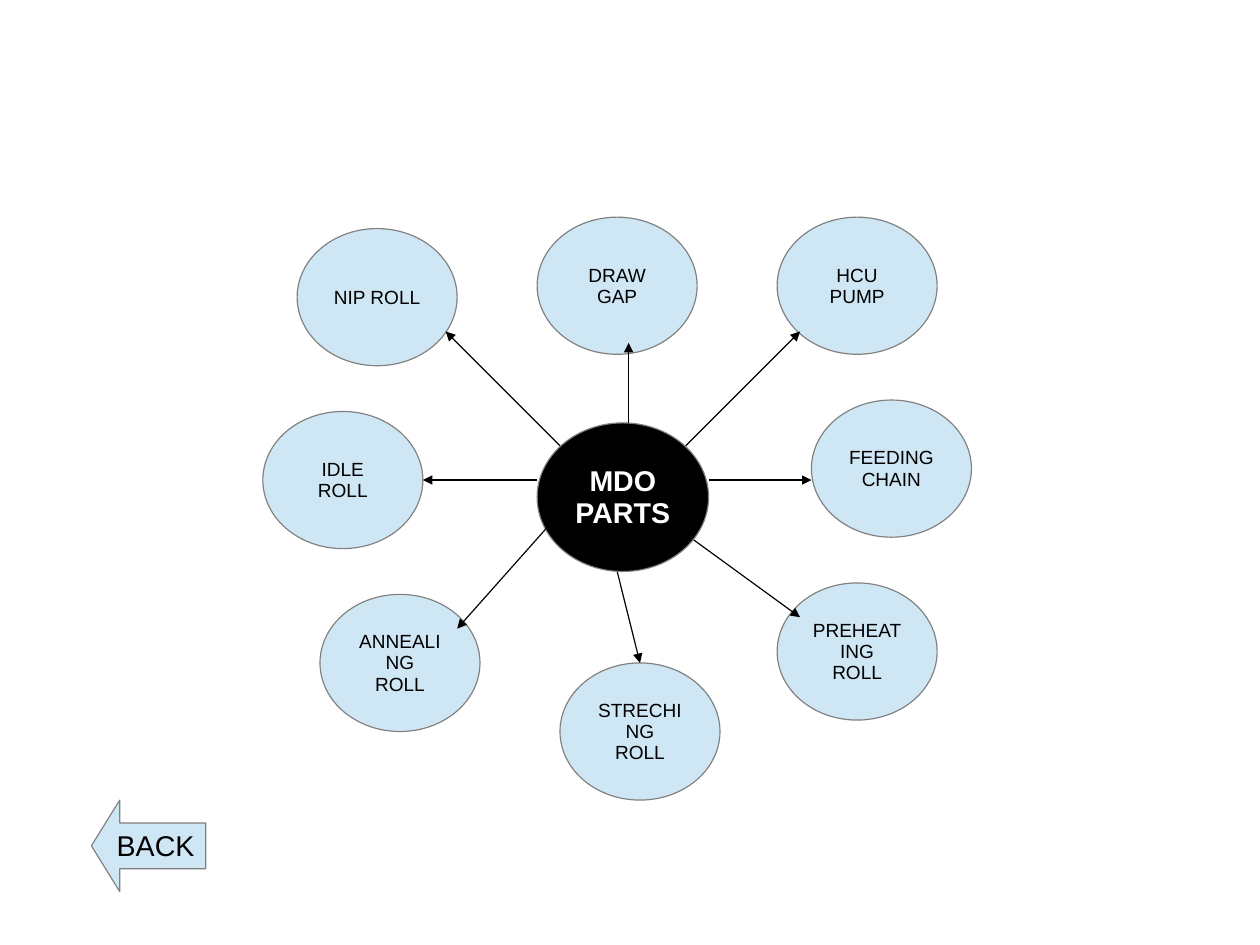
from dataclasses import dataclass

from lxml.etree import SubElement
from pptx import Presentation
from pptx.dml.color import RGBColor
from pptx.enum.shapes import MSO_CONNECTOR as Connector
from pptx.enum.shapes import MSO_SHAPE as Preset
from pptx.enum.text import MSO_ANCHOR as Anchor
from pptx.enum.text import PP_ALIGN as Align
from pptx.oxml.ns import qn
from pptx.slide import Slide
from pptx.util import Pt

COLORS = {"pale": "CFE7F5", "border": "808080", "black": "000000", "white": "FFFFFF"}
LINE_WIDTH = Pt(0.75)
PART_SIZE = (100.8, 86.4)


@dataclass(frozen=True)
class Node:
    lines: tuple[str, ...]
    left: float
    top: float
    width: float = PART_SIZE[0]
    height: float = PART_SIZE[1]
    preset: Preset = Preset.OVAL
    fill: str = "pale"
    ink: str = "black"
    size: float = 12
    bold: bool = False
    inset_top: float = 4.32
    wrap: bool = True


@dataclass(frozen=True)
class Arrow:
    start: tuple[float, float]
    end: tuple[float, float]


PARTS = (
    Node(("PREHEATING", "ROLL"), 489.6, 367.2),
    Node(("STRECHING", "ROLL"), 352.8, 417.6),
    Node(("ANNEALING", "ROLL"), 201.6, 374.4),
    Node(("IDLE ROLL",), 165.6, 259.2),
    Node(("NIP ROLL",), 187.2, 144),
    Node(("DRAW GAP",), 338.4, 136.8),
    Node(("HCU PUMP",), 489.6, 136.8),
    Node(("FEEDING CHAIN",), 511.2, 252),
)
HUB = Node(("MDO", "PARTS"), 338.4, 266.4, 108, 93.6, fill="black", ink="white",
           size=18, bold=True, inset_top=5.04)
BACK = Node(("BACK",), 57.6, 504, 72, 57.6, Preset.LEFT_ARROW,
            size=18, inset_top=5.04, wrap=False)
ARROWS_UNDER_HUB = (
    Arrow((388.8, 360), (403.2, 417.6)),
    Arrow((424.8, 331.2), (504, 388.8)),
)
ARROWS_OVER_HUB = (
    Arrow((345.6, 331.2), (288, 396)),
    Arrow((338.4, 302.4), (266.4, 302.4)),
    Arrow((352.8, 280.8), (280.8, 208.8)),
    Arrow((396, 266.4), (396, 216)),
    Arrow((432, 280.8), (504, 208.8)),
    Arrow((446.4, 302.4), (511.2, 302.4)),
)


def color(name: str) -> RGBColor:
    return RGBColor.from_string(COLORS[name])


def apply_format(target: object, values: dict[str, object]) -> None:
    for name, value in values.items():
        setattr(target, name, value)


def draw_node(page: Slide, node: Node) -> None:
    shape = page.shapes.add_shape(node.preset, Pt(node.left), Pt(node.top),
                                  Pt(node.width), Pt(node.height))
    if node.preset == Preset.LEFT_ARROW:
        shape.adjustments[1] = 0.31
    shape.shadow.inherit = False
    shape.fill.solid()
    shape.fill.fore_color.rgb = color(node.fill)
    shape.line.color.rgb = color("border")
    shape.line.width = LINE_WIDTH

    frame = shape.text_frame
    apply_format(frame, {
        "word_wrap": node.wrap, "vertical_anchor": Anchor.MIDDLE,
        "margin_left": Pt(7.2), "margin_right": Pt(7.2),
        "margin_top": Pt(node.inset_top), "margin_bottom": Pt(3.6),
    })
    for index, line in enumerate(node.lines):
        para = frame.add_paragraph() if index else frame.paragraphs[0]
        apply_format(para, {"alignment": Align.CENTER, "line_spacing": 0.93})
        span = para.add_run()
        span.text = line
        apply_format(span.font, {"name": "Arial", "size": Pt(node.size), "bold": node.bold})
        span.font.color.rgb = color(node.ink)


def draw_arrow(page: Slide, arrow: Arrow) -> None:
    ends = [Pt(value) for value in arrow.start + arrow.end]
    connector = page.shapes.add_connector(Connector.STRAIGHT, *ends)
    connector.line.color.rgb = color("black")
    connector.line.width = LINE_WIDTH
    SubElement(connector.line._get_or_add_ln(), qn("a:tailEnd"), type="triangle")
    SubElement(connector._element.spPr, qn("a:effectLst"))


def main() -> None:
    deck = Presentation()
    deck.slide_width, deck.slide_height = Pt(793.75), Pt(595.25)
    page = deck.slides.add_slide(deck.slide_layouts[6])
    for node in (*PARTS, BACK):
        draw_node(page, node)
    for arrow in ARROWS_UNDER_HUB:
        draw_arrow(page, arrow)
    draw_node(page, HUB)
    for arrow in ARROWS_OVER_HUB:
        draw_arrow(page, arrow)
    deck.save("out.pptx")


if __name__ == "__main__":
    main()
